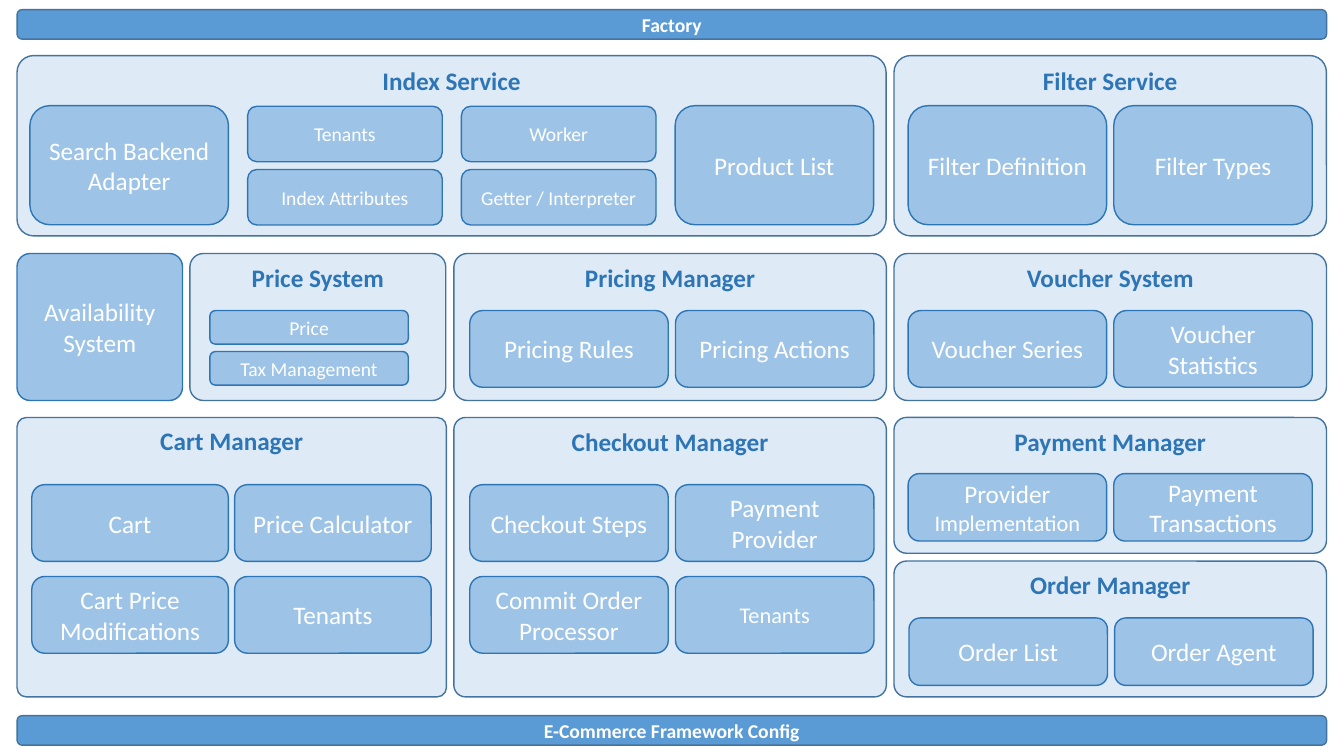
from dataclasses import dataclass
from typing import NamedTuple

from pptx import Presentation
from pptx.dml.color import RGBColor
from pptx.enum import shapes, text
from pptx.util import Pt

WHITE = RGBColor(0xFF, 0xFF, 0xFF)
PALE = RGBColor(0xDE, 0xEB, 0xF7)
LIGHT = RGBColor(0x9D, 0xC3, 0xE6)
MID = RGBColor(0x5B, 0x9B, 0xD5)
STRONG = RGBColor(0x2E, 0x75, 0xB6)
DARK = RGBColor(0x43, 0x73, 0x9E)


class Box(NamedTuple):
    x: float
    y: float
    w: float
    h: float


class Run(NamedTuple):
    text: str
    size: float | None = None  # None takes the size of the paragraph


@dataclass(frozen=True)
class Style:
    fill: RGBColor
    line: RGBColor
    color: RGBColor
    bold: bool
    anchor: text.MSO_ANCHOR


@dataclass(frozen=True)
class Panel:
    title: str
    box: Box
    corner: float = 0.092


@dataclass(frozen=True)
class Grid:
    first: Box
    labels: tuple[str | tuple[Run, ...], ...]
    gap_x: float = 5.1
    gap_y: float = 10.8
    cols: int = 2
    size: float = 18


BAR = Style(MID, DARK, WHITE, True, text.MSO_ANCHOR.MIDDLE)
PANEL = Style(PALE, DARK, STRONG, True, text.MSO_ANCHOR.TOP)
ITEM = Style(LIGHT, STRONG, WHITE, False, text.MSO_ANCHOR.MIDDLE)

# Columns, rows and item sizes shared by the panels
LEFT, CENTER, RIGHT = 12.2, 324.2, 638.6
ROW1, ROW2, ROW3 = 39.7, 181.1, 298.2
PANEL_W, ITEM_W = 308.9, 141.8
CENTER_ITEMS, RIGHT_ITEMS = 335.6, 648.7

BARS = (("Factory", 6.9), ("E-Commerce Framework Config", 511.2))

PANELS = (
    Panel("Index Service", Box(LEFT, ROW1, 620.8, 128.8)),
    Panel("Filter Service", Box(RIGHT, ROW1, PANEL_W, 128.8)),
    Panel("Price System", Box(135.6, ROW2, 182.8, 105)),
    Panel("Pricing Manager", Box(CENTER, ROW2, PANEL_W, 105)),
    Panel("Voucher System", Box(RIGHT, ROW2, PANEL_W, 105)),
    Panel("Cart Manager", Box(LEFT, ROW3, 306.7, 199.6), 0.033),
    Panel("Checkout Manager", Box(CENTER, ROW3, PANEL_W, 199.6), 0.042),
    Panel("Payment Manager", Box(RIGHT, ROW3, PANEL_W, 97)),
    Panel("Order Manager", Box(RIGHT, 400.8, PANEL_W, 97)),
)

GRIDS = (
    # Index Service
    Grid(Box(21.4, 75.5, ITEM_W, 85), ("Search Backend Adapter", "Product List"),
         gap_x=319.1),
    Grid(Box(176.9, 75.9, 139, 39.6),
         ("Tenants", "Worker", "Index Attributes", "Getter / Interpreter"),
         gap_x=13.7, gap_y=5.6, size=14),
    # Filter Service
    Grid(Box(RIGHT_ITEMS, 75.5, ITEM_W, 85), ("Filter Definition", "Filter Types")),
    # Price System
    Grid(Box(149.9, 221.8, ITEM_W, 24), ("Price", "Tax Management"),
         gap_y=5.3, cols=1, size=14),
    # Pricing Manager and Voucher System
    Grid(Box(CENTER_ITEMS, 221.8, ITEM_W, 54.8),
         ("Pricing Rules", "Pricing Actions")),
    Grid(Box(RIGHT_ITEMS, 221.8, ITEM_W, 54.8),
         ("Voucher Series", "Voucher Statistics")),
    # Cart Manager
    Grid(Box(22.7, 346.2, 140.4, 54.8),
         ("Cart", "Price Calculator", "Cart Price Modifications", "Tenants"),
         gap_x=4.5),
    # Checkout Manager
    Grid(Box(CENTER_ITEMS, 346.2, ITEM_W, 54.8),
         ("Checkout Steps", "Payment Provider", "Commit Order Processor",
          (Run("Tenants", 16),))),
    # Payment Manager and Order Manager
    Grid(Box(RIGHT_ITEMS, 338.3, ITEM_W, 48.2),
         ((Run("Provider "), Run("Implementation", 16)), "Payment Transactions")),
    Grid(Box(RIGHT_ITEMS + 0.6, 441.4, ITEM_W, 48.2),
         ("Order List", "Order Agent")),
)


def draw_box(s, box: Box, label: str | tuple[Run, ...], style: Style,
             size: float = 18, corner: float | None = None) -> None:
    """Draw a rounded box with a centred label."""
    sp = s.shapes.add_shape(shapes.MSO_SHAPE.ROUNDED_RECTANGLE,
                            *(Pt(v) for v in box))
    if corner is not None:
        sp.adjustments[0] = corner
    sp.shadow.inherit = False
    sp.fill.solid()
    sp.fill.fore_color.rgb = style.fill
    sp.line.color.rgb = style.line
    sp.line.width = Pt(1)
    tf = sp.text_frame
    tf.word_wrap = True
    tf.vertical_anchor = style.anchor
    p = tf.paragraphs[0]
    p.alignment = text.PP_ALIGN.CENTER
    p.font.name = "Calibri"
    p.font.size = Pt(size)
    p.font.bold = style.bold
    p.font.color.rgb = style.color
    for run in (Run(label),) if isinstance(label, str) else label:
        r = p.add_run()
        r.text = run.text
        if run.size is not None:
            r.font.size = Pt(run.size)


def draw_grid(s, grid: Grid) -> None:
    """Place the labelled items row by row."""
    x, y, w, h = grid.first
    for i, label in enumerate(grid.labels):
        row, col = divmod(i, grid.cols)
        box = Box(x + col * (w + grid.gap_x), y + row * (h + grid.gap_y), w, h)
        draw_box(s, box, label, ITEM, grid.size)


prs = Presentation()
prs.slide_width, prs.slide_height = Pt(960), Pt(540)
s = prs.slides.add_slide(prs.slide_layouts[6])

# Bars at the top and bottom
for label, top in BARS:
    draw_box(s, Box(LEFT, top, 935.4, 21.1), label, BAR, 14)

# Panels, then the items on them
for panel in PANELS:
    draw_box(s, panel.box, panel.title, PANEL, corner=panel.corner)
draw_box(s, Box(LEFT, ROW2, 118.2, 105), "Availability System", ITEM, corner=0.089)
for grid in GRIDS:
    draw_grid(s, grid)

prs.save("out.pptx")
